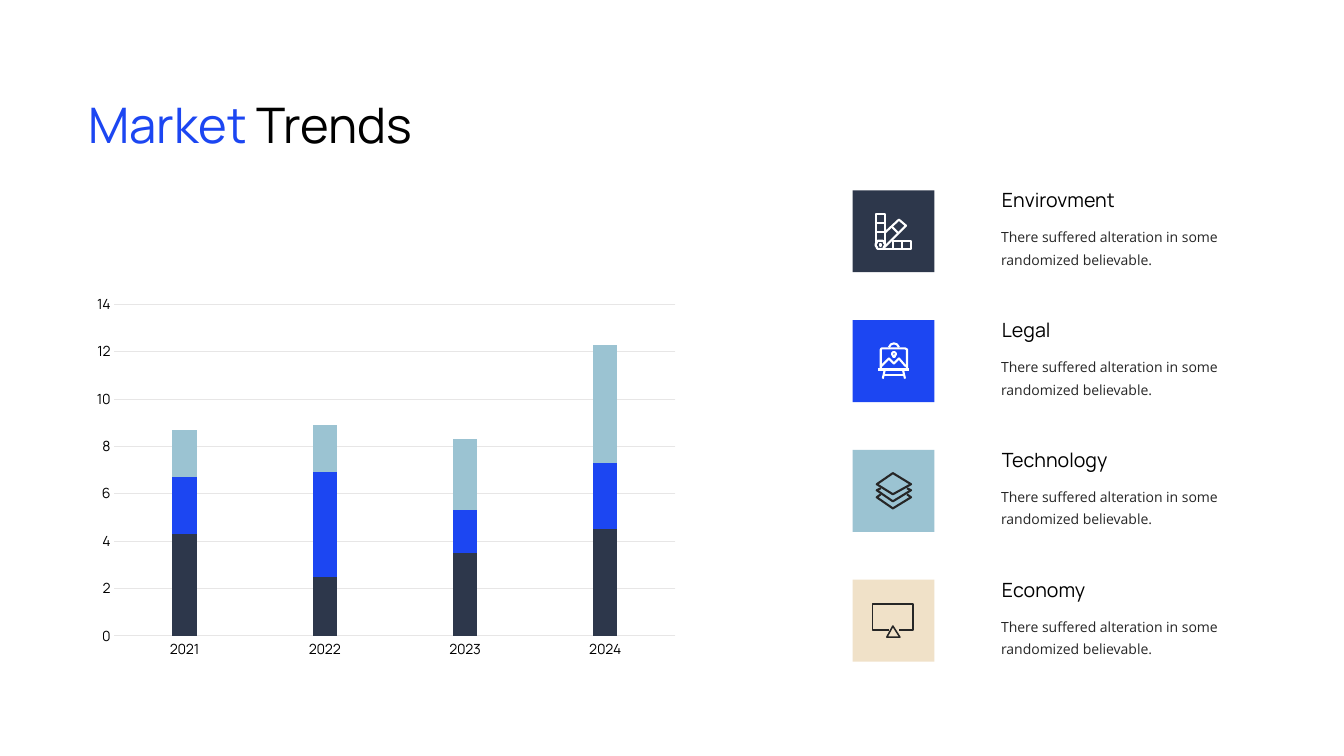
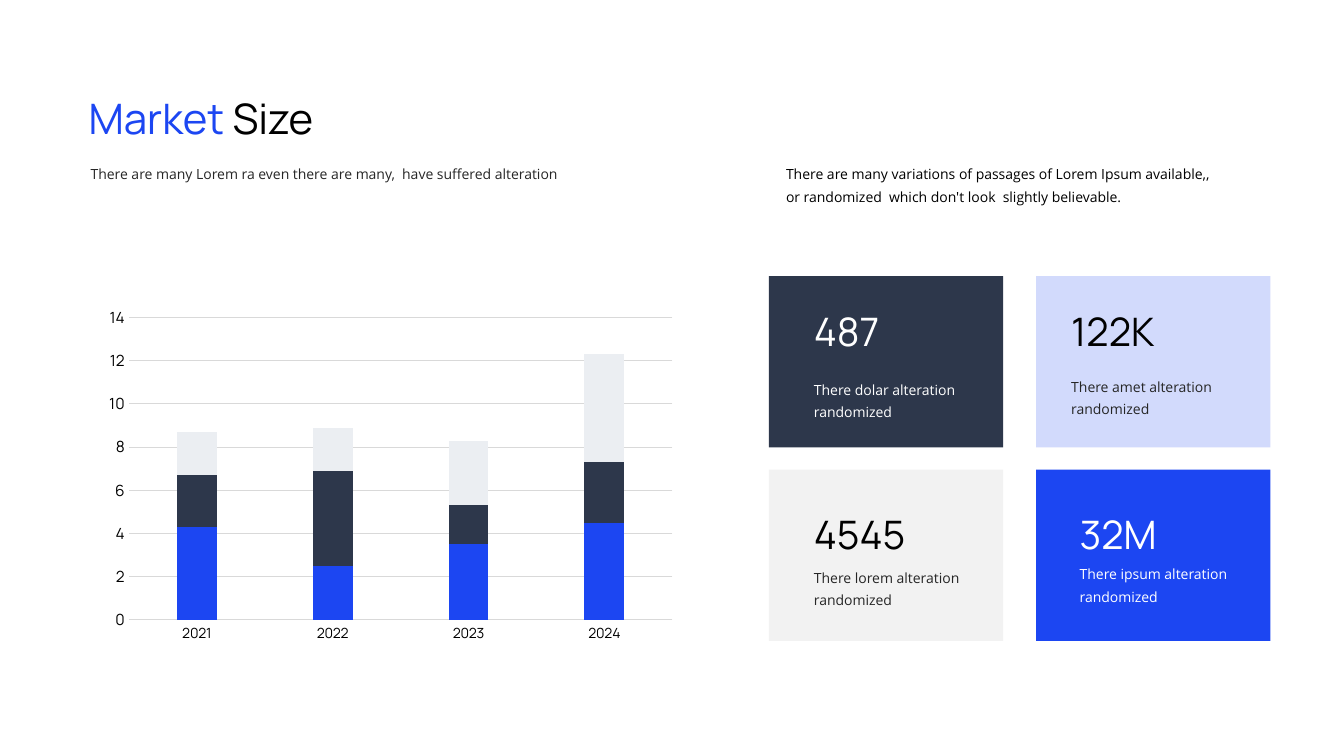
import math

import lxml.etree
import pptx
import pptx.chart.data
import pptx.dml.color
import pptx.enum.chart
import pptx.enum.shapes
import pptx.enum.text
import pptx.oxml.ns
import pptx.util

Pt = pptx.util.Pt
RGBColor = pptx.dml.color.RGBColor

BLUE = RGBColor(0x1C, 0x46, 0xF2)
NAVY = RGBColor(0x2D, 0x37, 0x4B)
TEAL = RGBColor(0x9B, 0xC3, 0xD2)
SAND = RGBColor(0xF0, 0xE1, 0xC8)
LAVENDER = RGBColor(0xD2, 0xDA, 0xFC)
MIST = RGBColor(0xEB, 0xEE, 0xF2)
PALE_GRAY = RGBColor(0xF2, 0xF2, 0xF2)
GRID_LIGHT = RGBColor(0xE7, 0xE6, 0xE6)
GRID_GRAY = RGBColor(0xD9, 0xD9, 0xD9)
INK = RGBColor(0x26, 0x26, 0x26)
BLACK = RGBColor(0, 0, 0)
WHITE = RGBColor(0xFF, 0xFF, 0xFF)

HEADING_FONT = "Manrope"
BODY_FONT = "Open Sans"
BODY_SIZE = 10
BODY_LEADING = Pt(16)

YEARS = ["2021", "2022", "2023", "2024"]
SERIES = [
    ("Series 1", (4.3, 2.5, 3.5, 4.5)),
    ("Series 2", (2.4, 4.4, 1.8, 2.8)),
    ("Series 3", (2, 2, 3, 5)),
]


def circle(x, y, radius, steps=24):
    """Return the closed polyline that approximates a circle."""
    angles = [2 * math.pi * step / steps for step in range(steps + 1)]
    return [(x + radius * math.cos(a), y + radius * math.sin(a)) for a in angles]


# Icon strokes are polylines on a grid of ICON_UNIT, measured from the tile corner.
ICON_UNIT = Pt(0.72)
SWATCHES = [
    [(23, 54), (23, 23), (32, 23), (32, 54)],
    [(23, 32), (32, 32)],
    [(23, 41), (32, 41)],
    [(32, 42), (46, 29), (53, 35), (31, 57)],
    [(39, 36), (45, 42)],
    [(27.5, 58.5), (58, 58.5), (58, 50), (39, 50)],
    [(40.5, 50), (40.5, 58)],
    [(49, 50), (49, 58)],
    circle(27.5, 54, 4.5),
    circle(27.5, 54, 0.6),
]
EASEL = [
    [(27.5, 49), (27.5, 29), (29, 27.5), (52, 27.5), (53.5, 29), (53.5, 49)],
    [(25, 49), (56, 49)],
    [(31.5, 49), (30, 58)],
    [(50, 49), (51.5, 58)],
    [(31, 53.5), (51, 53.5)],
    [(36.5, 27), (38, 24), (41, 23), (44, 24), (45.5, 27)],
    [(28, 46), (36, 38.5), (41, 43), (45.5, 38.5), (53, 46)],
    circle(41, 34, 2),
]
LAYERS = [
    [(40.5, 23), (57.5, 34), (40.5, 44.5), (23.5, 34), (40.5, 23)],
] + [
    [(27.5, y - 2.5), (23.5, y), (40.5, y + 10.5), (57.5, y), (53.5, y - 2.5)]
    for y in (40.5, 47)
]
SCREEN = [
    [(36, 49.5), (20.5, 49.5), (20.5, 23.5), (60.5, 23.5), (60.5, 49.5), (46, 49.5)],
    [(34, 57), (40.5, 46.5), (47, 57), (34, 57)],
]

FACTOR_NOTE = "There suffered alteration in some randomized believable."
FACTORS = [  # heading, tile colour, icon, icon colour, stroke width
    ("Envirovment", NAVY, SWATCHES, WHITE, 1.5),
    ("Legal", BLUE, EASEL, WHITE, 1.5),
    ("Technology", TEAL, LAYERS, INK, 1.5),
    ("Economy", SAND, SCREEN, INK, 1.1),
]
TILE_LEFT, TILE_TOP, TILE_SIZE, TILE_PITCH = 609, 136, 58.5, 92.7

CARDS = [  # figure, caption, fill, figure colour, caption colour, inset, caption offset
    ("487", "There dolar alteration\nrandomized", NAVY, WHITE, WHITE, 25, 67.5),
    ("122K", "There amet alteration\nrandomized", LAVENDER, BLACK, INK, 18, 65.5),
    ("4545", "There lorem alteration\nrandomized", PALE_GRAY, BLACK, INK, 25, 63.5),
    ("32M", "There ipsum alteration\nrandomized", BLUE, WHITE, WHITE, 24, 61),
]
CARD_LEFT, CARD_TOP, CARD_WIDTH, CARD_HEIGHT = 549.3, 197.3, 167.3, 122.2
CARD_PITCH_X, CARD_PITCH_Y = 190.8, 138.2
FIGURE_OFFSETS = (18.7, 25.2)  # one per row of cards

SUBTITLE = "There are many Lorem ra even there are many,  have suffered alteration"
SUMMARY = (
    "There are many variations of passages of Lorem Ipsum available,, "
    "or randomized  which don't look  slightly believable."
)


def style_font(font, name, size, color):
    font.name = name
    font.size = Pt(size)
    font.color.rgb = color


def add_text(slide, box, text, color, font=BODY_FONT, size=BODY_SIZE,
             leading=BODY_LEADING, inset=True):
    textbox = slide.shapes.add_textbox(*map(Pt, box))
    frame = textbox.text_frame
    frame.word_wrap = True
    frame.auto_size = pptx.enum.text.MSO_AUTO_SIZE.SHAPE_TO_FIT_TEXT
    if not inset:
        frame.margin_left = frame.margin_right = 0
        frame.margin_top = frame.margin_bottom = 0
        frame.vertical_anchor = pptx.enum.text.MSO_ANCHOR.MIDDLE
    frame.text = text
    for paragraph in frame.paragraphs:
        paragraph.line_spacing = leading
        for run in paragraph.runs:
            style_font(run.font, font, size, color)
    return frame


def add_title(slide, box, accent, rest, size):
    """Add a title whose first word is blue and the rest black."""
    frame = add_text(slide, box, accent, BLUE, HEADING_FONT, size, Pt(45))
    run = frame.paragraphs[0].add_run()
    run.text = rest
    style_font(run.font, HEADING_FONT, size, BLACK)


def add_block(slide, box, color):
    block = slide.shapes.add_shape(
        pptx.enum.shapes.MSO_SHAPE.RECTANGLE, *map(Pt, box))
    block.shadow.inherit = False
    block.fill.solid()
    block.fill.fore_color.rgb = color
    block.line.fill.background()


def add_icon(slide, left, top, strokes, color, width):
    first = strokes[0]
    builder = slide.shapes.build_freeform(*first[0], scale=ICON_UNIT)
    builder.add_line_segments(first[1:], close=False)
    for stroke in strokes[1:]:
        builder.move_to(*stroke[0])
        builder.add_line_segments(stroke[1:], close=False)
    icon = builder.convert_to_shape(Pt(left), Pt(top))
    icon.shadow.inherit = False
    icon.fill.background()
    icon.line.color.rgb = color
    icon.line.width = Pt(width)


def set_plot_area(chart, x, y, width, height):
    """Fix the inner plot area, as fractions of the chart."""
    plot_area = chart._chartSpace.chart.plotArea
    qn = pptx.oxml.ns.qn
    for old in plot_area.findall(qn("c:layout")):
        plot_area.remove(old)
    layout = lxml.etree.Element(qn("c:layout"))
    manual = lxml.etree.SubElement(layout, qn("c:manualLayout"))
    settings = [("layoutTarget", "inner"), ("xMode", "edge"), ("yMode", "edge"),
                ("x", x), ("y", y), ("w", width), ("h", height)]
    for tag, value in settings:
        lxml.etree.SubElement(manual, qn("c:" + tag)).set("val", str(value))
    plot_area.insert(0, layout)


def add_stacked_chart(slide, box, colors, gap, grid_color, value_size, base_line):
    data = pptx.chart.data.CategoryChartData()
    data.categories = YEARS
    for name, values in SERIES:
        data.add_series(name, values)
    chart = slide.shapes.add_chart(
        pptx.enum.chart.XL_CHART_TYPE.COLUMN_STACKED, *map(Pt, box), data).chart
    chart.has_title = False
    chart.has_legend = False
    style_font(chart.font, HEADING_FONT, 10, BLACK)

    plot = chart.plots[0]
    plot.gap_width = gap
    plot.overlap = 100
    plot.vary_by_categories = False
    for series, color in zip(plot.series, colors):
        series.format.fill.solid()
        series.format.fill.fore_color.rgb = color

    for axis, size in ((chart.category_axis, 10), (chart.value_axis, value_size)):
        axis.major_tick_mark = pptx.enum.chart.XL_TICK_MARK.NONE
        axis.minor_tick_mark = pptx.enum.chart.XL_TICK_MARK.NONE
        style_font(axis.tick_labels.font, HEADING_FONT, size, BLACK)
        axis.format.line.fill.background()
    if base_line:
        chart.category_axis.format.line.color.rgb = grid_color
        chart.category_axis.format.line.width = Pt(0.75)

    values_axis = chart.value_axis
    values_axis.minimum_scale, values_axis.maximum_scale = 0, 14
    values_axis.major_unit = 2
    values_axis.has_major_gridlines = True
    values_axis.major_gridlines.format.line.color.rgb = grid_color
    values_axis.major_gridlines.format.line.width = Pt(0.75)
    return chart


def build_trends(slide):
    add_title(slide, (56.2, 61.2, 302.4, 51), "Market", " Trends", 35)
    add_stacked_chart(slide, (60.5, 205.2, 430.5, 270.7), (NAVY, BLUE, TEAL),
                      480, GRID_LIGHT, 10, base_line=False)
    for row, (heading, tile_color, icon, icon_color, width) in enumerate(FACTORS):
        top = TILE_TOP + row * TILE_PITCH
        add_block(slide, (TILE_LEFT, top, TILE_SIZE, TILE_SIZE), tile_color)
        add_icon(slide, TILE_LEFT, top, icon, icon_color, width)
        add_text(slide, (715.7, top + 0.5, 193, 15), heading, BLACK,
                 HEADING_FONT, 14, 0.9, inset=False)
        add_text(slide, (708, top + 20, 184.3, 38), FACTOR_NOTE, INK)


def build_size(slide):
    add_title(slide, (56.2, 53.3, 315.4, 49.7), "Market", " Size", 30)
    add_text(slide, (57.6, 110.9, 373.7, 22.3), SUBTITLE, INK)
    add_text(slide, (554.4, 110.9, 328.3, 38), SUMMARY, BLACK)
    chart = add_stacked_chart(slide, (61.9, 211, 431.3, 263.5), (BLUE, NAVY, MIST),
                              240, GRID_GRAY, 11, base_line=True)
    set_plot_area(chart, 0.07, 0.06, 0.9, 0.82)
    for index, card in enumerate(CARDS):
        figure, caption, fill, figure_color, caption_color, inset, offset = card
        row, column = divmod(index, 2)
        left = CARD_LEFT + column * CARD_PITCH_X
        top = CARD_TOP + row * CARD_PITCH_Y
        add_block(slide, (left, top, CARD_WIDTH, CARD_HEIGHT), fill)
        add_text(slide, (left + inset, top + FIGURE_OFFSETS[row], 96.5, 41),
                 figure, figure_color, HEADING_FONT, 28, 1.0)
        add_text(slide, (left + inset, top + offset, 133.2, 38),
                 caption, caption_color)


def main():
    deck = pptx.Presentation()
    deck.slide_width, deck.slide_height = Pt(960), Pt(540)
    blank = deck.slide_layouts[6]
    for build in (build_trends, build_size):
        build(deck.slides.add_slide(blank))
    deck.save("out.pptx")


if __name__ == "__main__":
    main()
